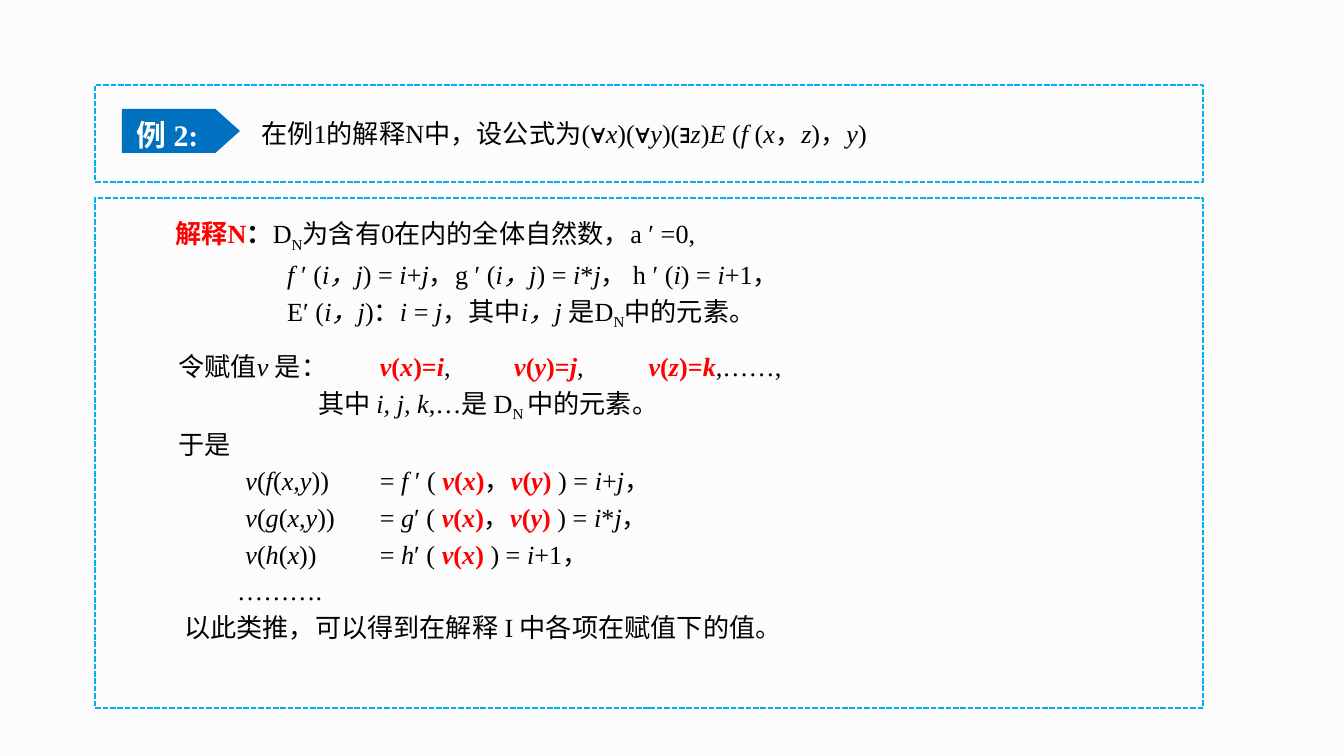
from lxml.etree import SubElement
from pptx import Presentation
from pptx.dml.color import RGBColor
from pptx.enum.dml import MSO_LINE_DASH_STYLE as Dash
from pptx.enum.shapes import MSO_SHAPE as Shape
from pptx.enum.text import MSO_ANCHOR as Anchor, MSO_AUTO_SIZE as AutoSize, PP_ALIGN as Align
from pptx.oxml.ns import qn
from pptx.util import Pt

EMU_PER_PX = 914400 / 134.4
FONT = "Times New Roman"
BLACK, RED, WHITE = "000000", "FF0000", "FFFFFF"
BLUE, CYAN, PAPER = "0070C0", "00B0F0", "FCFCFC"
MARKS = {"_": "italic", "~": "subscript", "^": "bold", "{": "red", "}": "red"}

FORMULA = "在例1的解释N中，设公式为(∀_x_)(∀_y_)(∃_z_)_E _(_f _(_x_，_z_)，_y_)"

INTERPRETATION = [
    ("{解释N}^：^D~N~为含有0在内的全体自然数，a ʹ =0,", 0, []),
    ("_f_ ʹ (_i，j_) = _i_+_j_，g ʹ (_i，j_) = _i_*_j_， h ʹ (_i_) = _i_+1，", 112, []),
    ("Eʹ (_i，j_)：_i_ = _j_，其中_i，j _是D~N~中的元素。", 112, []),
]

EQUATION_TABS = [98, 195]
ASSIGNMENT = [
    ("令赋值_v _是：\t{_v_(_x_)=_i_},\t{_v_(_y_)=_j_},\t{_v_(_z_)=_k_},……,", 0, [180, 263, 346]),
    ("其中 _i, j, k_,…是 D~N ~中的元素。", 140, []),
    ("于是", 0, []),
    ("\t_v_(_f_(_x,y_))\t= _f _ʹ ( {_v_(_x_)}，{_v_(_y_)} ) = _i_+_j_，", 0, EQUATION_TABS),
    ("\t_v_(_g_(_x,y_))\t= _g_ʹ ( {_v_(_x_)}，{_v_(_y_)} ) = _i_*_j_，", 0, EQUATION_TABS),
    ("\t_v_(_h_(_x_))\t= _h_ʹ ( {_v_(_x_)} ) = _i_+1，", 0, EQUATION_TABS),
    ("……….", 59, []),
    ("以此类推，可以得到在解释 I 中各项在赋值下的值。", 6, []),
]


def px(length):
    return round(length * EMU_PER_PX)


def color(hex_string):
    return RGBColor.from_string(hex_string)


def format_font(font, size, hex_string, bold=False, italic=False):
    font.name = FONT
    font.size = Pt(size)
    font.color.rgb = color(hex_string)
    font.bold = bold
    font.italic = italic


def split_markup(markup):
    active, text = frozenset(), ""
    for character in markup:
        if character in MARKS:
            if text:
                yield text, active
            active, text = active ^ {MARKS[character]}, ""
        else:
            text += character
    if text:
        yield text, active


def write_markup(paragraph, markup):
    for text, styles in split_markup(markup):
        run = paragraph.add_run()
        run.text = text
        is_red = "red" in styles
        format_font(run.font, 14, RED if is_red else BLACK,
                    is_red or "bold" in styles, "italic" in styles)
        if "subscript" in styles:
            run._r.get_or_add_rPr().set("baseline", "-25000")


def set_indent(paragraph, indent, tabs):
    properties = paragraph._p.get_or_add_pPr()
    properties.set("marL", str(px(indent)))
    properties.set("indent", "0")
    if tabs:
        tab_list = SubElement(properties, qn("a:tabLst"))
        for position in tabs:
            SubElement(tab_list, qn("a:tab"), pos=str(px(position)), algn="l")


def add_text(slide, left, top, width, height, lines, line_spacing=1.0):
    box = slide.shapes.add_textbox(px(left), px(top), px(width), px(height))
    frame = box.text_frame
    frame.word_wrap = True
    frame.auto_size = AutoSize.SHAPE_TO_FIT_TEXT
    for index, (markup, indent, tabs) in enumerate(lines):
        paragraph = frame.add_paragraph() if index else frame.paragraphs[0]
        set_indent(paragraph, indent, tabs)
        paragraph.line_spacing = line_spacing
        if index:
            paragraph.space_before = Pt(2.8)
        write_markup(paragraph, markup)


def add_dashed_frame(slide, left, top, width, height):
    frame = slide.shapes.add_shape(Shape.RECTANGLE, px(left), px(top), px(width), px(height))
    frame.shadow.inherit = False
    frame.fill.background()
    frame.line.color.rgb = color(CYAN)
    frame.line.width = Pt(1)
    frame.line.dash_style = Dash.SQUARE_DOT


def add_example_label(slide, left, top, width, height):
    label = slide.shapes.add_shape(Shape.PENTAGON, px(left), px(top), px(width), px(height))
    label.adjustments[0] = 0.56
    label.shadow.inherit = False
    label.fill.solid()
    label.fill.fore_color.rgb = color(BLUE)
    label.line.fill.background()
    frame = label.text_frame
    frame.word_wrap = True
    frame.vertical_anchor = Anchor.MIDDLE
    frame.margin_left, frame.margin_right = px(15), 0
    paragraph = frame.paragraphs[0]
    paragraph.text = "例 2:"
    paragraph.alignment = Align.LEFT
    paragraph.line_spacing = 1.2
    format_font(paragraph.runs[0].font, 16, WHITE, bold=True)


def add_question(slide, left, top, width, height):
    add_dashed_frame(slide, left, top, width, height)
    add_text(slide, left + 153, top + 29, 833, 42, [(FORMULA, 0, [])], 0.9)
    add_example_label(slide, left + 27, top + 24, 118, 44)


def add_solution(slide, left, top, width, height):
    add_dashed_frame(slide, left, top, width, height)
    add_text(slide, left + 67, top + 13, 839, 121, INTERPRETATION)
    add_text(slide, left + 70, top + 146, 839, 312, ASSIGNMENT)


def main():
    presentation = Presentation()
    presentation.slide_width = px(1344)
    presentation.slide_height = px(756)
    slide = presentation.slides.add_slide(presentation.slide_layouts[6])
    slide.background.fill.solid()
    slide.background.fill.fore_color.rgb = color(PAPER)
    add_question(slide, 95, 85, 1108, 97)
    add_solution(slide, 95, 198, 1108, 510)
    presentation.save("out.pptx")


if __name__ == "__main__":
    main()
